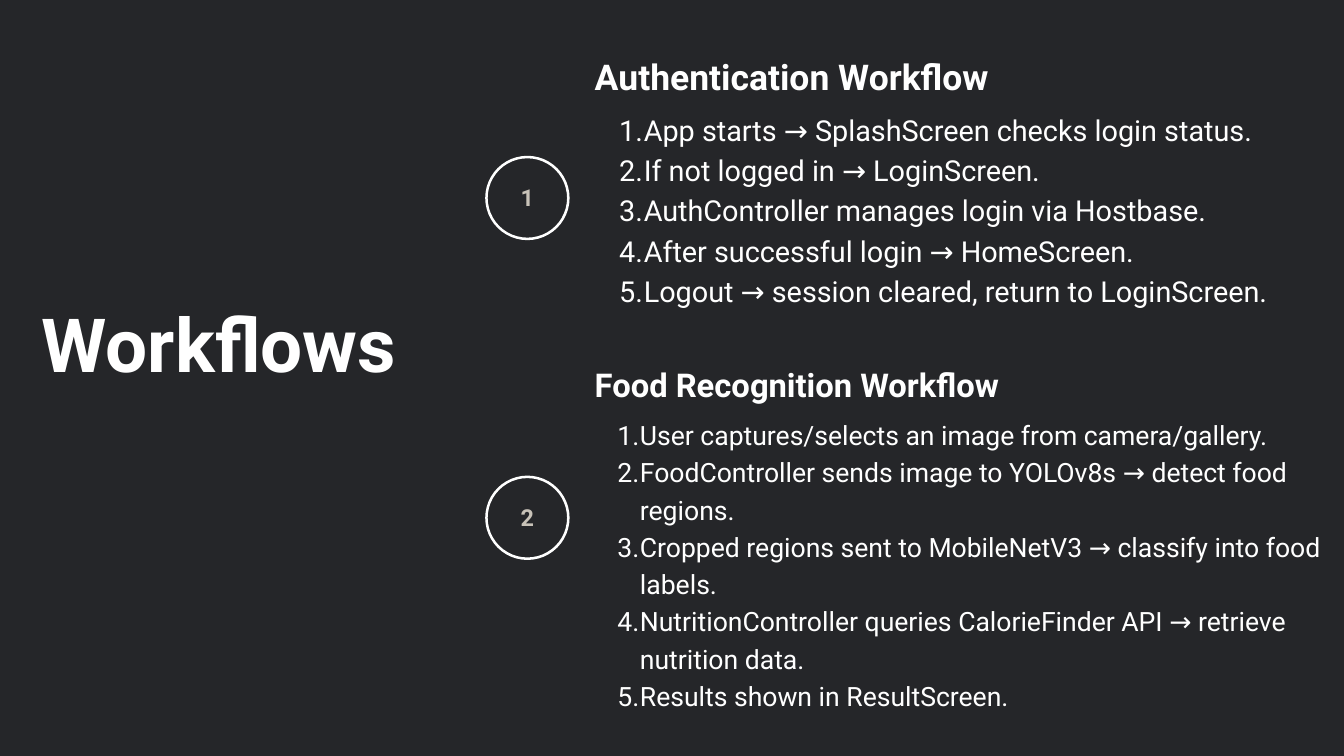
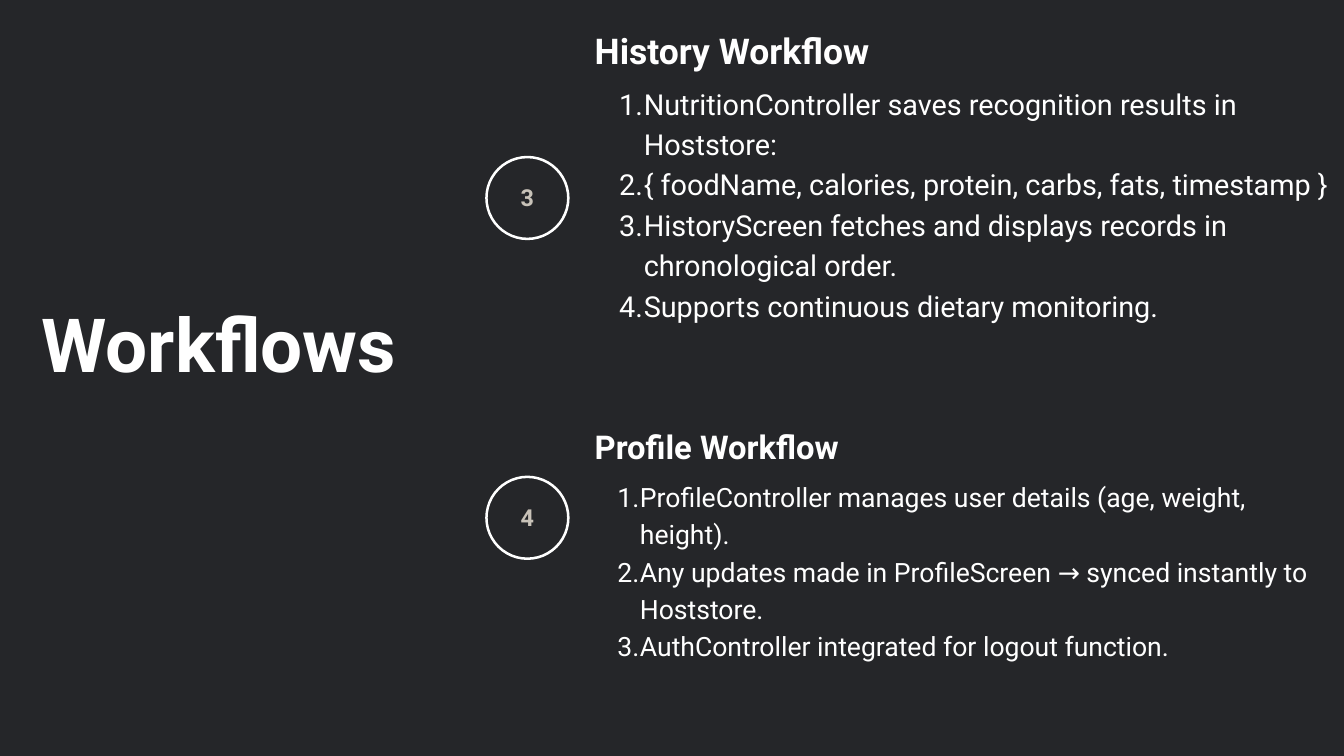
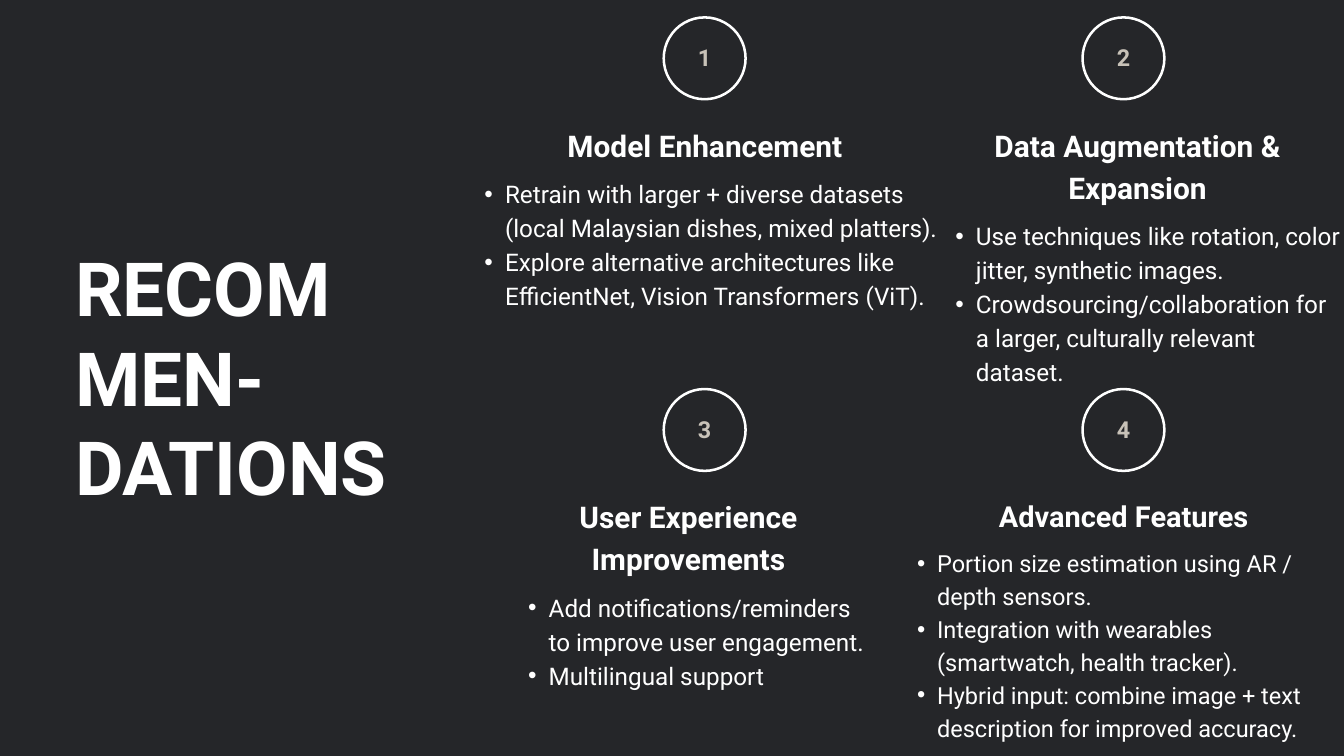
from dataclasses import dataclass

from lxml import etree
from pptx import Presentation
from pptx.dml.color import RGBColor
from pptx.enum.shapes import MSO_SHAPE
from pptx.enum.text import PP_ALIGN
from pptx.oxml.ns import qn
from pptx.util import Cm, Pt

RING = MSO_SHAPE.DONUT
LEFT = PP_ALIGN.LEFT
CENTER = PP_ALIGN.CENTER

COLORS = {"background": "252629", "text": "FFFFFF", "number": "C8C2B8"}
FONT = "Roboto"

TITLE_SIZE = 80
NUMBER_SIZE = 25
DISPLAY_SPACING = 1.2
BODY_SPACING = 1.4
INDENT_PER_POINT = 0.06

RING_SIZE = 3.19
RING_THICKNESS = 0.03
NUMBER_WIDTH = 1.24
NUMBER_HEIGHT = 1.12

WORKFLOW_LEFT = 22.48
WORKFLOW_WIDTH = 27.84
WORKFLOW_RING_LEFT = 18.34
WORKFLOW_RING_TOPS = (5.89, 17.98)
WORKFLOW_GAP = 0.35
CARD_RING_LEFTS = (25.04, 40.87)
CARD_RING_TOPS = (0.61, 14.66)
CARD_GAP = 0.43


@dataclass(frozen=True)
class Area:
    left: float
    top: float
    width: float
    height: float


@dataclass(frozen=True)
class Style:
    size: float
    spacing: float = BODY_SPACING
    bold: bool = False
    color: str = "text"
    align: PP_ALIGN = LEFT


@dataclass(frozen=True)
class Section:
    heading: str
    items: tuple[str, ...]
    left: float
    top: float
    width: float
    list_height: float
    heading_size: float
    list_size: float
    gap: float
    heading_lines: int = 1
    align: PP_ALIGN = LEFT
    numbered: bool = False


@dataclass(frozen=True)
class Ring:
    number: int
    left: float
    top: float


@dataclass(frozen=True)
class PageContent:
    title: str
    title_area: Area
    sections: tuple[Section, ...]
    rings: tuple[Ring, ...]


def upper_workflow(heading: str, top: float, height: float, *items: str) -> Section:
    return Section(heading, items, WORKFLOW_LEFT, top, WORKFLOW_WIDTH, height,
                   38, 30.9, WORKFLOW_GAP, numbered=True)


def lower_workflow(heading: str, top: float, height: float, *items: str) -> Section:
    return Section(heading, items, WORKFLOW_LEFT, top, WORKFLOW_WIDTH, height,
                   35.1, 28.5, WORKFLOW_GAP, numbered=True)


def workflow_page(first_number: int, *sections: Section) -> PageContent:
    rings = tuple(
        Ring(number, WORKFLOW_RING_LEFT, top)
        for number, top in enumerate(WORKFLOW_RING_TOPS, first_number)
    )
    return PageContent("Workflows", Area(1.57, 11.25, 17.7, 3.43), sections, rings)


def recommendation_rings() -> tuple[Ring, ...]:
    places = [(left, top) for top in CARD_RING_TOPS for left in CARD_RING_LEFTS]
    return tuple(Ring(number, *place) for number, place in enumerate(places, 1))


PAGES = (
    workflow_page(
        1,
        upper_workflow(
            "Authentication Workflow", 1.8, 8.99,
            "App starts → SplashScreen checks login status.",
            "If not logged in → LoginScreen.",
            "AuthController manages login via Hostbase.",
            "After successful login → HomeScreen.",
            "Logout → session cleared, return to LoginScreen.",
        ),
        lower_workflow(
            "Food Recognition Workflow", 13.56, 12.45,
            "User captures/selects an image from camera/gallery.",
            "FoodController sends image to YOLOv8s → detect food regions.",
            "Cropped regions sent to MobileNetV3 → classify into food labels.",
            "NutritionController queries CalorieFinder API → retrieve nutrition data.",
            "Results shown in ResultScreen.",
        ),
    ),
    workflow_page(
        3,
        upper_workflow(
            "History Workflow", 0.82, 12.01,
            "NutritionController saves recognition results in Hoststore:",
            "{ foodName, calories, protein, carbs, fats, timestamp }",
            "HistoryScreen fetches and displays records in chronological order.",
            "Supports continuous dietary monitoring.",
        ),
        lower_workflow(
            "Profile Workflow", 15.9, 8.28,
            "ProfileController manages user details (age, weight, height).",
            "Any updates made in ProfileScreen → synced instantly to Hoststore.",
            "AuthController integrated for logout function.",
        ),
    ),
    PageContent(
        "RECOM\nMEN-\nDATIONS",
        Area(2.84, 9.14, 13.23, 10.21),
        (
            Section(
                "Model Enhancement",
                (
                    "Retrain with larger + diverse datasets (local Malaysian dishes, mixed platters).",
                    "Explore alternative architectures like EfficientNet, Vision Transformers (ViT).",
                ),
                17.53, 4.6, 18.24, 8.84, 32, 26, CARD_GAP, align=CENTER,
            ),
            Section(
                "Data Augmentation & Expansion",
                (
                    "Use techniques like rotation, color jitter, synthetic images.",
                    "Crowdsourcing/collaboration for a larger, culturally relevant dataset.",
                ),
                35.33, 4.6, 15.34, 7.57, 32, 26, CARD_GAP, heading_lines=2, align=CENTER,
            ),
            Section(
                "User Experience Improvements",
                (
                    "Add notifications/reminders to improve user engagement.",
                    "Multilingual support",
                ),
                19.18, 18.64, 13.69, 5.03, 32, 26, CARD_GAP, heading_lines=2, align=CENTER,
            ),
            Section(
                "Advanced Features",
                (
                    "Portion size estimation using AR / depth sensors.",
                    "Integration with wearables (smartwatch, health tracker).",
                    "Hybrid input: combine image + text description for improved accuracy.",
                ),
                33.91, 18.62, 17.12, 7.62, 31, 25.2, CARD_GAP, align=CENTER,
            ),
        ),
        recommendation_rings(),
    ),
)


def rgb(name: str) -> RGBColor:
    return RGBColor.from_string(COLORS[name])


def add_text(page, text: str, area: Area, style: Style):
    box = page.shapes.add_textbox(
        Cm(area.left), Cm(area.top), Cm(area.width), Cm(area.height)
    )
    frame = box.text_frame
    frame.word_wrap = True
    frame.margin_left = frame.margin_top = frame.margin_right = frame.margin_bottom = 0
    frame.text = text
    for para in frame.paragraphs:
        para.alignment = style.align
        para.line_spacing = Pt(style.size * style.spacing)
        for span in para.runs:
            span.font.name = FONT
            span.font.size = Pt(style.size)
            span.font.bold = style.bold
            span.font.color.rgb = rgb(style.color)
    return box


def add_marker(para, size: float, numbered: bool) -> None:
    para.level = 1
    indent = Cm(size * INDENT_PER_POINT)
    properties = para._p.get_or_add_pPr()
    properties.set("marL", str(indent))
    properties.set("indent", str(-indent // 2))
    if numbered:
        etree.SubElement(properties, qn("a:buAutoNum"), type="arabicPeriod")
    else:
        etree.SubElement(properties, qn("a:buFont"), typeface="Arial")
        etree.SubElement(properties, qn("a:buChar"), char="•")


def add_section(page, section: Section) -> None:
    heading_height = Pt(
        section.heading_lines * section.heading_size * BODY_SPACING
    ).cm
    add_text(
        page, section.heading,
        Area(section.left, section.top, section.width, heading_height),
        Style(section.heading_size, bold=True, align=section.align),
    )
    list_top = section.top + heading_height + section.gap
    box = add_text(
        page, "\n".join(section.items),
        Area(section.left, list_top, section.width, section.list_height),
        Style(section.list_size),
    )
    for para in box.text_frame.paragraphs:
        add_marker(para, section.list_size, section.numbered)


def add_ring(page, ring: Ring) -> None:
    shape = page.shapes.add_shape(
        RING, Cm(ring.left), Cm(ring.top), Cm(RING_SIZE), Cm(RING_SIZE)
    )
    shape.adjustments[0] = RING_THICKNESS
    shape.shadow.inherit = False
    shape.fill.solid()
    shape.fill.fore_color.rgb = rgb("text")
    shape.line.fill.background()
    add_text(
        page, str(ring.number),
        Area(
            ring.left + (RING_SIZE - NUMBER_WIDTH) / 2,
            ring.top + (RING_SIZE - NUMBER_HEIGHT) / 2,
            NUMBER_WIDTH, NUMBER_HEIGHT,
        ),
        Style(NUMBER_SIZE, DISPLAY_SPACING, True, "number", CENTER),
    )


def add_page(deck, content: PageContent) -> None:
    page = deck.slides.add_slide(deck.slide_layouts[6])
    page.background.fill.solid()
    page.background.fill.fore_color.rgb = rgb("background")
    add_text(
        page, content.title, content.title_area,
        Style(TITLE_SIZE, DISPLAY_SPACING, True),
    )
    for section in content.sections:
        add_section(page, section)
    for ring in content.rings:
        add_ring(page, ring)


def main() -> None:
    deck = Presentation()
    deck.slide_width = Cm(50.8)
    deck.slide_height = Cm(28.58)
    for content in PAGES:
        add_page(deck, content)
    deck.save("out.pptx")


if __name__ == "__main__":
    main()
